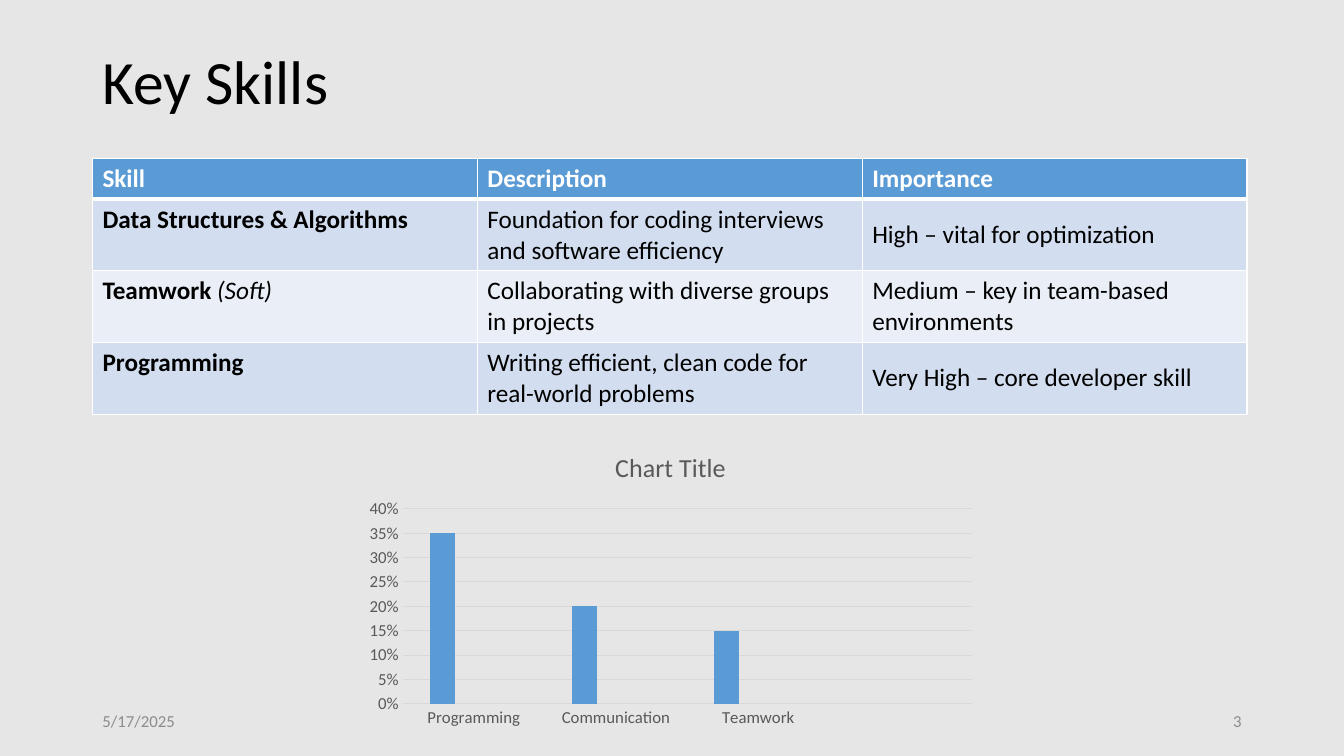
from lxml.etree import SubElement
from pptx import Presentation
from pptx.chart.data import CategoryChartData
from pptx.dml.color import RGBColor
from pptx.enum.chart import XL_CHART_TYPE, XL_TICK_MARK
from pptx.enum.text import MSO_ANCHOR, PP_ALIGN
from pptx.oxml.ns import qn
from pptx.util import Cm, Pt

LEFT = 2.33


def rgb(code):
    return RGBColor.from_string(code)


class SlideBuilder:
    font = "Calibri"
    black, white, muted = "000000", "FFFFFF", "8C8C8C"
    axis_text, rule = "595959", "D9D9D9"
    series_colors = ["5B9BD5", "ED7D31", "A5A5A5"]
    header_fill = "5B9BD5"
    band_fills = ["D2DEEF", "EAEFF7"]

    def __init__(self, prs, background):
        self.slide = prs.slides.add_slide(prs.slide_layouts[5])
        fill = self.slide.background.fill
        fill.solid()
        fill.fore_color.rgb = rgb(background)

    def style(self, font, size, color, bold=False, italic=False):
        font.name, font.size = self.font, Pt(size)
        font.bold, font.italic = bold, italic
        font.color.rgb = rgb(color)

    def title(self, text, left, top, width, height):
        sp = self.slide.shapes.title
        sp.left, sp.top, sp.width, sp.height = map(Cm, (left, top, width, height))
        tf = sp.text_frame
        tf.text = text
        tf.vertical_anchor = MSO_ANCHOR.MIDDLE
        p = tf.paragraphs[0]
        p.alignment, p.line_spacing = PP_ALIGN.LEFT, 0.9
        self.style(p.runs[0].font, 44, self.black)

    def footer(self, text, left, align):
        sp = self.slide.shapes.add_textbox(Cm(left), Cm(17.66), Cm(7.62), Cm(1.01))
        tf = sp.text_frame
        tf.word_wrap = True
        tf.vertical_anchor = MSO_ANCHOR.MIDDLE
        tf.text = text
        p = tf.paragraphs[0]
        p.alignment = align
        self.style(p.runs[0].font, 12, self.muted)

    def borders(self, cell, **widths):
        tc_pr = cell._tc.get_or_add_tcPr()
        for side in "LRTB":
            ln = SubElement(tc_pr, qn(f"a:ln{side}"), w=str(Pt(widths.get(side, 1))))
            fill = SubElement(ln, qn("a:solidFill"))
            SubElement(fill, qn("a:srgbClr"), val=self.white)

    def cell(self, cell, text, fill, color, bold, note=""):
        cell.fill.solid()
        cell.fill.fore_color.rgb = rgb(fill)
        p = cell.text_frame.paragraphs[0]
        p.text = text
        self.style(p.runs[0].font, 18, color, bold)
        if note:
            r = p.add_run()
            r.text = note
            self.style(r.font, 18, color, italic=True)

    def table(self, header, rows, notes, left, top, col_width, row_heights):
        frame = self.slide.shapes.add_table(
            len(rows) + 1, len(header), Cm(left), Cm(top),
            Cm(col_width * len(header)), Cm(sum(row_heights)))
        table = frame.table
        table.horz_banding = False
        for column in table.columns:
            column.width = Cm(col_width)
        for row, height in zip(table.rows, row_heights):
            row.height = Cm(height)
        for j, text in enumerate(header):
            cell = table.cell(0, j)
            self.borders(cell, B=3)
            self.cell(cell, text, self.header_fill, self.white, True)
        for i, row in enumerate(rows):
            for j, text in enumerate(row):
                cell = table.cell(i + 1, j)
                self.borders(cell, T=3 if i == 0 else 1)
                self.cell(cell, text, self.band_fills[i % 2], self.black,
                          j == 0, notes.get(text, ""))
                if j == len(row) - 1:
                    cell.vertical_anchor = MSO_ANCHOR.MIDDLE

    def column_chart(self, title, categories, series, left, top, width, height):
        data = CategoryChartData(number_format="0%")
        data.categories = categories
        for name, values in series.items():
            data.add_series(name, values)
        chart = self.slide.shapes.add_chart(
            XL_CHART_TYPE.COLUMN_CLUSTERED,
            Cm(left), Cm(top), Cm(width), Cm(height), data).chart
        self.style(chart.font, 10, self.black)
        chart.has_legend = False
        chart.has_title = True
        tf = chart.chart_title.text_frame
        tf.text = title
        self.style(tf.paragraphs[0].runs[0].font, 18.6, self.axis_text)
        chart.chart_title.include_in_layout = False

        # Bars
        plot = chart.plots[0]
        plot.gap_width, plot.overlap = 219, -27
        plot.vary_by_categories = False
        for bars, color in zip(plot.series, self.series_colors):
            bars.format.fill.solid()
            bars.format.fill.fore_color.rgb = rgb(color)

        # Axes
        cat_axis, val_axis = chart.category_axis, chart.value_axis
        for axis in (cat_axis, val_axis):
            axis.major_tick_mark = axis.minor_tick_mark = XL_TICK_MARK.NONE
            self.style(axis.tick_labels.font, 12, self.axis_text)
        val_axis.minimum_scale, val_axis.maximum_scale = 0, 0.4
        val_axis.major_unit = 0.05
        val_axis.tick_labels.number_format = "0%"
        val_axis.tick_labels.number_format_is_linked = False
        val_axis.format.line.fill.background()
        for line in (cat_axis.format.line, val_axis.major_gridlines.format.line):
            line.color.rgb = rgb(self.rule)
            line.width = Pt(0.75)


def main():
    prs = Presentation()
    prs.slide_width, prs.slide_height = Cm(33.87), Cm(19.05)
    s = SlideBuilder(prs, "E7E6E6")

    # Title
    s.title("Key Skills", LEFT, 0.3, 29.21, 3.68)

    # Skills table
    s.table(
        ["Skill", "Description", "Importance"],
        [
            ["Data Structures & Algorithms",
             "Foundation for coding interviews and software efficiency",
             "High – vital for optimization"],
            ["Teamwork ",
             "Collaborating with diverse groups in projects",
             "Medium – key in team-based environments"],
            ["Programming",
             "Writing efficient, clean code for real-world problems",
             "Very High – core developer skill"],
        ],
        {"Teamwork ": "(Soft)"},
        LEFT, 3.99, 9.7, [1.03, 1.8, 1.8, 1.8])

    # Skills chart, with a spare fourth category and two unused series
    empty = [None] * 4
    s.column_chart(
        "Chart Title",
        ["Programming", "Communication", "Teamwork", ""],
        {"Series 1": [0.35, 0.2, 0.15, None], "Series 2": empty, "Series 3": empty},
        9, 10.92, 15.8, 7.57)

    # Footer
    s.footer("5/17/2025", LEFT, PP_ALIGN.LEFT)
    s.footer("3", 23.92, PP_ALIGN.RIGHT)

    prs.save("out.pptx")


if __name__ == "__main__":
    main()
